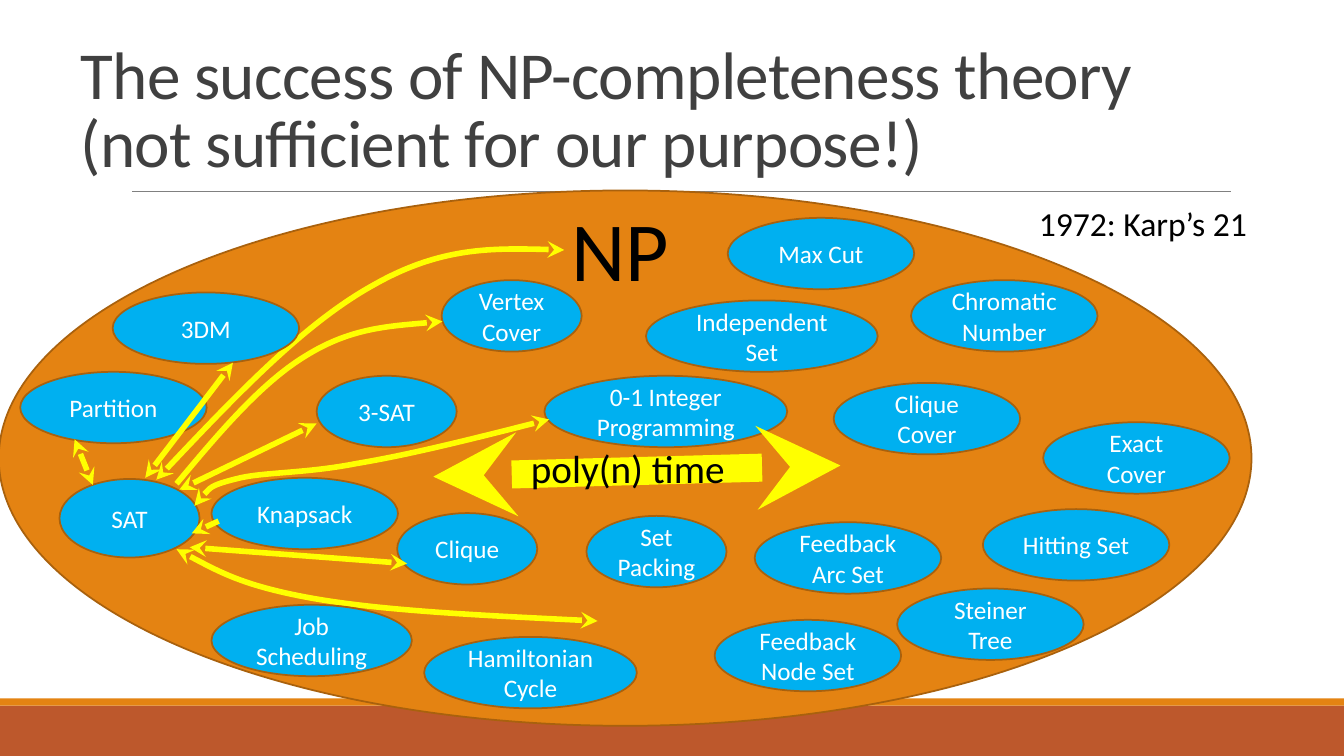
from lxml import etree
from pptx import Presentation
from pptx.dml.color import RGBColor
from pptx.enum import shapes, text
from pptx.oxml import ns
from pptx.util import Cm, Pt

ORANGE = RGBColor(0xE4, 0x83, 0x12)
RUST = RGBColor(0xBD, 0x58, 0x2C)
BROWN = RGBColor(0xA9, 0x61, 0x0D)
BLUE = RGBColor(0x00, 0xB0, 0xF0)
YELLOW = RGBColor(0xFF, 0xFF, 0x00)
GREY = RGBColor(0x80, 0x80, 0x80)
CHARCOAL = RGBColor(0x40, 0x40, 0x40)
BLACK = RGBColor(0x00, 0x00, 0x00)
WHITE = RGBColor(0xFF, 0xFF, 0xFF)

NARROW, MEDIUM, LOW = 3.53, 4.7, 1.8

PROBLEMS = [
    ("3-SAT", 7.98, 9.47, NARROW),
    ("Clique", 10.01, 12.93, NARROW),
    ("0-1 Integer Programming", 13.72, 9.47, 6.12),
    ("Set Packing", 14.78, 13, NARROW),
    ("Vertex Cover", 11.13, 7.06, NARROW),
    ("Independent Set", 16.28, 7.57, 5.84),
    ("Feedback Node Set", 18.01, 15.62, MEDIUM),
    ("Feedback Arc Set", 19.02, 13.16, MEDIUM),
    ("Hamiltonian Cycle", 10.69, 16.05, 5.36),
    ("Chromatic Number", 22.96, 7.06, MEDIUM),
    ("Clique Cover", 21.01, 9.65, MEDIUM),
    ("Exact Cover", 26.29, 10.64, MEDIUM),
    ("Hitting Set", 24.77, 12.83, MEDIUM),
    ("Steiner Tree", 22.61, 14.83, MEDIUM),
    ("3DM", 2.84, 7.37, MEDIUM),
    ("Knapsack", 5.33, 12.04, MEDIUM),
    ("Job Scheduling", 5.33, 15.24, 5.05),
    ("Partition", 0.51, 9.37, MEDIUM),
    ("Max Cut", 18.34, 5.49, MEDIUM),
]

NP_CURVE = [(14.22, 6.3), (12.65, 6.25), (11.1, 6.22), (9.4, 7.19),
            (7.67, 8.15), (5.79, 10.13), (3.94, 12.09)]
LOWER_CURVE = [(15.06, 15.65), (12.37, 15.52), (9.7, 15.39), (7.95, 15.09),
               (6.17, 14.78), (5.31, 14.3), (4.45, 13.84)]
VERTEX_COVER_CURVE = [(11.15, 8.1), (9.99, 8.2), (8.81, 8.28), (7.7, 8.97),
                      (6.58, 9.65), (5.51, 10.92), (4.45, 12.19)]
INTEGER_CURVE = [(13.84, 10.57), (12.07, 11.02), (10.31, 11.46), (8.99, 11.68),
                 (7.67, 11.94), (6.6, 11.89), (5.94, 12.07),
                 (5.26, 12.24), (5.08, 12.5), (4.9, 12.75)]

BOTH = ("headEnd", "tailEnd")


def style_text(frame, words, size, color, align, spacing=None):
    frame.word_wrap = True
    paragraph = frame.paragraphs[0]
    paragraph.text = words
    paragraph.alignment = align
    paragraph.line_spacing = spacing
    paragraph.font.size = Pt(size)
    paragraph.font.name = "Calibri"
    paragraph.font.color.rgb = color
    return paragraph


def add_label(slide, words, left, top, width, height, size,
              color=BLACK, align=text.PP_ALIGN.LEFT, spacing=None):
    frame = slide.shapes.add_textbox(Cm(left), Cm(top), Cm(width), Cm(height)).text_frame
    return style_text(frame, words, size, color, align, spacing)


def add_block(slide, kind, left, top, width, height, fill, outline=None):
    block = slide.shapes.add_shape(kind, Cm(left), Cm(top), Cm(width), Cm(height))
    block.shadow.inherit = False
    block.fill.solid()
    block.fill.fore_color.rgb = fill
    if outline is None:
        block.line.fill.background()
    else:
        block.line.color.rgb = outline
        block.line.width = Pt(1.25)
    return block


def add_problem(slide, name, left, top, width, height=LOW):
    oval = add_block(slide, shapes.MSO_SHAPE.OVAL, left, top, width, height, BLUE, BROWN)
    oval.text_frame.vertical_anchor = text.MSO_ANCHOR.MIDDLE
    style_text(oval.text_frame, name, 18, WHITE, text.PP_ALIGN.CENTER)


def style_arrow(arrow, width, ends):
    arrow.line.color.rgb = YELLOW
    arrow.line.width = Pt(width)
    outline = arrow.line._get_or_add_ln()
    for end in ends:
        etree.SubElement(outline, ns.qn("a:" + end), type="stealth")


def add_line(slide, start, finish):
    line = slide.shapes.add_connector(
        shapes.MSO_CONNECTOR.STRAIGHT, *map(Cm, start + finish))
    etree.SubElement(line._element.spPr, ns.qn("a:effectLst"))
    return line


def add_reduction(slide, start, finish, width=4, ends=BOTH):
    style_arrow(add_line(slide, start, finish), width, ends)


def add_curve(slide, points, ends=BOTH):
    start, *rest = [(Cm(x), Cm(y)) for x, y in points]
    builder = slide.shapes.build_freeform(*start)
    builder.add_line_segments(rest, close=False)
    curve = builder.convert_to_shape()
    curve.shadow.inherit = False
    curve.fill.background()
    outline = next(curve._element.iter(ns.qn("a:pathLst")))[0]
    segments = outline.findall(ns.qn("a:lnTo"))
    for first in range(0, len(segments), 3):
        bezier = etree.SubElement(outline, ns.qn("a:cubicBezTo"))
        for segment in segments[first:first + 3]:
            bezier.append(segment[0])
            outline.remove(segment)
    style_arrow(curve, 4, ends)


def add_frame(slide):
    add_block(slide, shapes.MSO_SHAPE.RECTANGLE, 0, 17.78, 33.87, 1.27, RUST)
    add_block(slide, shapes.MSO_SHAPE.RECTANGLE, 0, 17.6, 33.87, 0.18, ORANGE)
    rule = add_line(slide, (3.33, 4.83), (31.01, 4.83))
    rule.line.color.rgb = GREY
    rule.line.width = Pt(0.5)
    title = add_label(
        slide, "The success of NP-completeness theory\v(not sufficient for our purpose!)",
        1.78, 0.66, 27.94, 4.04, 48, CHARCOAL, spacing=0.85)
    title._p.get_or_add_pPr().get_or_add_defRPr().set("spc", "-50")
    slide.shapes[-1].text_frame.vertical_anchor = text.MSO_ANCHOR.BOTTOM


def main():
    deck = Presentation()
    deck.slide_width, deck.slide_height = Cm(33.87), Cm(19.05)
    slide = deck.slides.add_slide(deck.slide_layouts[6])

    add_frame(slide)
    add_block(slide, shapes.MSO_SHAPE.OVAL, -0.03, 4.8, 31.57, 13.49, ORANGE, BROWN)
    add_label(slide, "NP", 12.24, 4.85, 6.78, 2.82, 60, align=text.PP_ALIGN.CENTER)
    add_problem(slide, "SAT", 1.5, 12.07, NARROW, 1.98)
    add_curve(slide, NP_CURVE)
    add_curve(slide, LOWER_CURVE)
    for problem in PROBLEMS:
        add_problem(slide, *problem)

    add_reduction(slide, (1.88, 11.07), (2.34, 12.22))
    add_reduction(slide, (5.87, 9.14), (3.66, 12.04))
    add_reduction(slide, (7.98, 10.67), (4.52, 12.34))
    add_reduction(slide, (5.51, 13.13), (4.83, 13.44), ends=("tailEnd",))
    add_reduction(slide, (10.26, 14.2), (4.78, 13.79))
    add_curve(slide, VERTEX_COVER_CURVE, ends=("headEnd",))
    add_curve(slide, INTEGER_CURVE)
    add_reduction(slide, (21.18, 11.73), (10.92, 12.01), width=20)

    add_label(slide, "poly(n) time", 13.13, 11.07, 7.42, 1.45, 28)
    add_label(slide, "1972: Karp’s 21", 25.93, 4.98, 7.6, 1.27, 24)
    deck.save("out.pptx")


if __name__ == "__main__":
    main()
